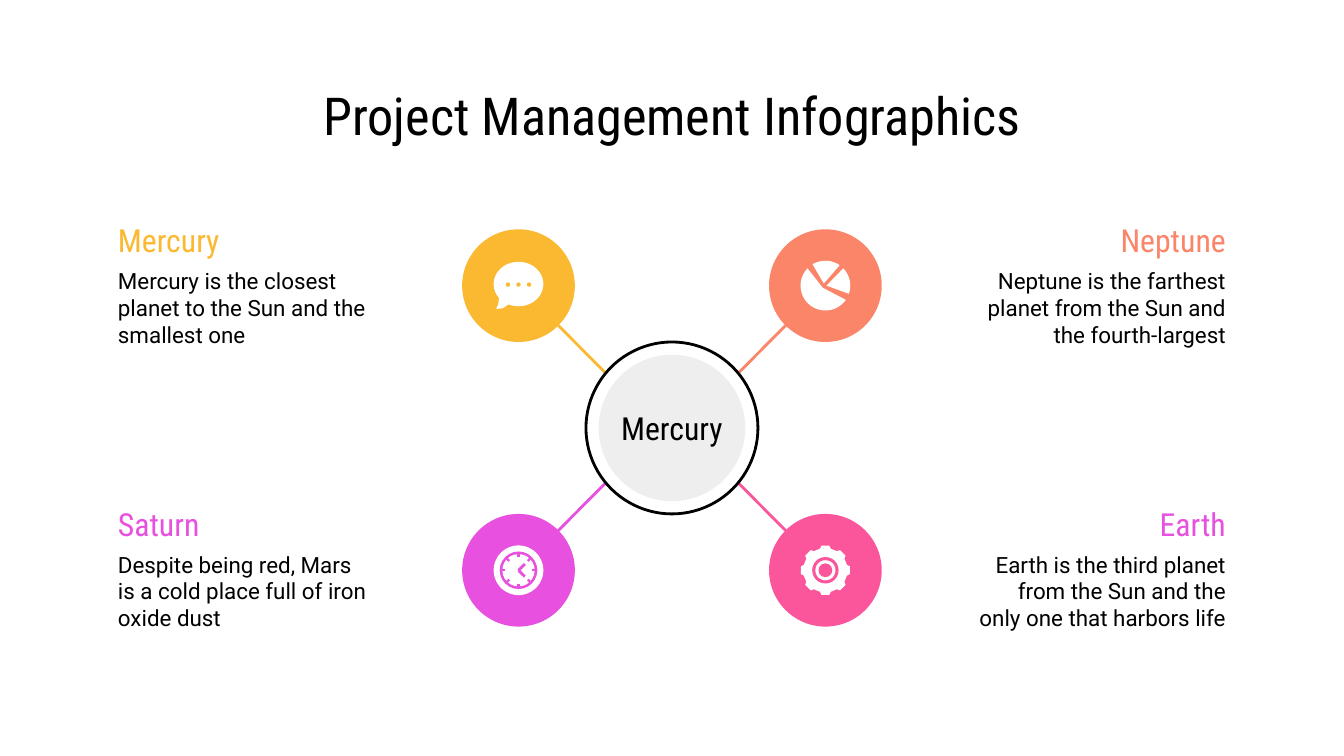
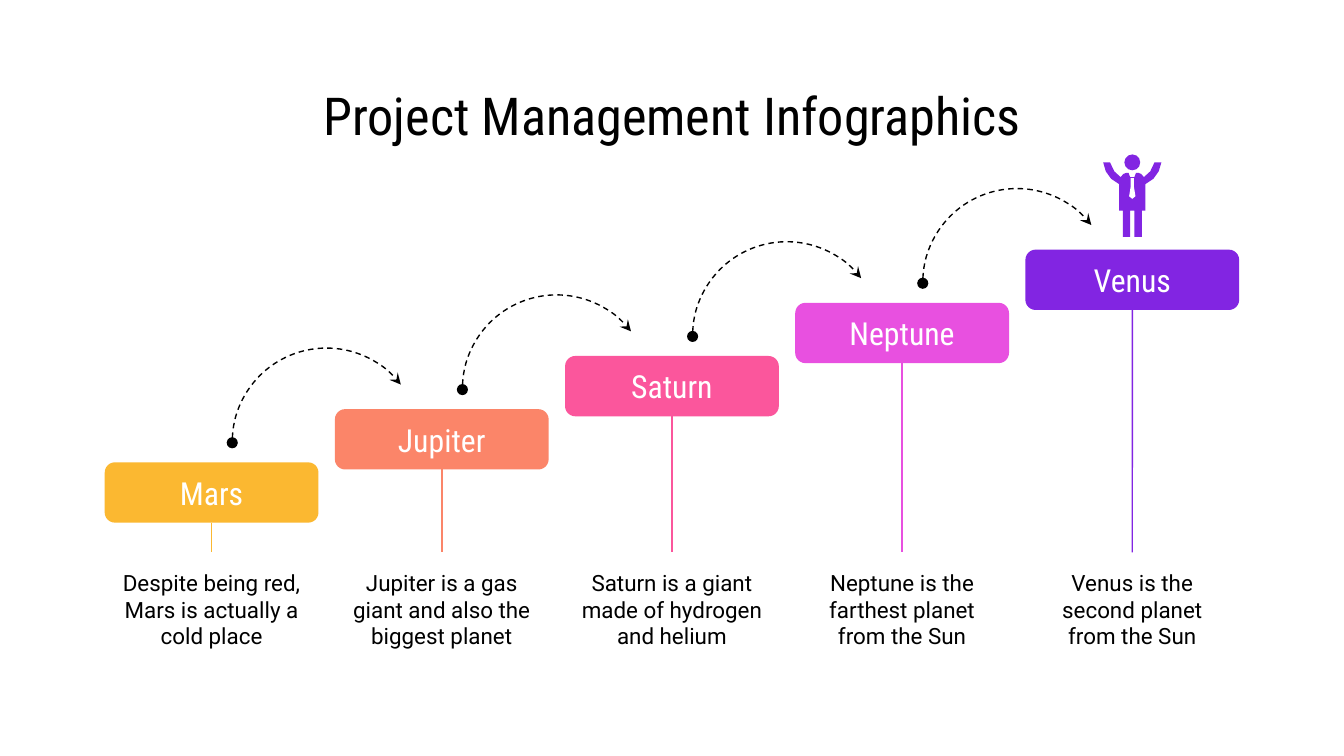
from math import cos, radians, sin

from lxml import etree
from pptx import Presentation
from pptx import util as u
from pptx.dml.color import RGBColor
from pptx.enum import dml, shapes, text
from pptx.oxml.ns import qn

AMBER = RGBColor(0xFB, 0xB8, 0x31)
CORAL = RGBColor(0xFB, 0x85, 0x69)
PINK = RGBColor(0xFB, 0x56, 0x9C)
ORCHID = RGBColor(0xE8, 0x50, 0xE0)
VIOLET = RGBColor(0x82, 0x25, 0xE2)
GREY = RGBColor(0xEE, 0xEE, 0xEE)
WHITE = RGBColor(0xFF, 0xFF, 0xFF)
BLACK = RGBColor(0, 0, 0)

HEAD, BODY = "Roboto Condensed", "Roboto"
TITLE = "Project Management Infographics"
LEFT, MID, END = text.PP_ALIGN.LEFT, text.PP_ALIGN.CENTER, text.PP_ALIGN.RIGHT
KIND = shapes.MSO_SHAPE

# All lengths below are centimetres.
WIDE, HIGH, EDGE = 25.4, 14.29, 1.98

HUB = "Mercury"
# side, row, node colour, heading colour, heading, body, icon
PLANETS = [
    (-1, -1, AMBER, AMBER, "Mercury",
     "Mercury is the closest planet to the Sun and the smallest one", "chat"),
    (1, -1, CORAL, CORAL, "Neptune",
     "Neptune is the farthest planet from the Sun and the fourth-largest", "pie"),
    (-1, 1, ORCHID, ORCHID, "Saturn",
     "Despite being red, Mars is a cold place full of iron oxide dust", "clock"),
    (1, 1, PINK, ORCHID, "Earth",
     "Earth is the third planet from the Sun and the only one that harbors life",
     "gear"),
]

STEPS = [
    ("Mars", AMBER, "Despite being red, Mars is actually a cold place"),
    ("Jupiter", CORAL, "Jupiter is a gas giant and also the biggest planet"),
    ("Saturn", PINK, "Saturn is a giant made of hydrogen and helium"),
    ("Neptune", ORCHID, "Neptune is the farthest planet from the Sun"),
    ("Venus", VIOLET, "Venus is the second planet from the Sun"),
]

# Right half of each outline, from the top centre; the left half mirrors it.
SUIT = [(.04, .28), (.07, .2), (.12, .2), (.17, .22), (.22, .28), (.34, .17),
        (.42, 0), (.55, 0), (.5, .17), (.4, .31), (.25, .41), (.25, .91),
        (.18, .91), (.18, 1.41), (.04, 1.41), (.04, .91)]
TIE = [(.03, .3), (.03, .46), (.06, .64), (0, .69)]
TAIL = [(-.37, .24), (-.38, .34), (-.42, .44), (-.3, .43), (-.17, .34), (-.2, .2)]
# first angle, last angle, apex
WEDGES = [(35, 226, (-.05, .04)), (239, 307, (-.03, -.04)), (316, 381, (.02, 0))]


def cm(*nums):
    return [u.Cm(n) for n in nums]


def write(shape, words, font, size, color, align, anchor=text.MSO_ANCHOR.MIDDLE,
          side=.25):
    frame = shape.text_frame
    frame.word_wrap = True
    frame.auto_size = text.MSO_AUTO_SIZE.NONE
    frame.vertical_anchor = anchor
    frame.margin_left, frame.margin_right = cm(side, side)
    frame.margin_top, frame.margin_bottom = cm(.25, .25)
    frame.text = words
    para = frame.paragraphs[0]
    para.alignment = align
    para.font.name, para.font.size = font, u.Pt(size)
    para.font.color.rgb = color


def label(slide, box, *style, **more):
    write(slide.shapes.add_textbox(*cm(*box)), *style, **more)


def paint(shape, fill):
    shape.shadow.inherit = False
    shape.fill.solid()
    shape.fill.fore_color.rgb = fill
    shape.line.fill.background()
    return shape


def disc(slide, x, y, wide, fill, high=None):
    """Ellipse centred on x, y."""
    high = high or wide
    return paint(slide.shapes.add_shape(
        KIND.OVAL, *cm(x - wide / 2, y - high / 2, wide, high)), fill)


def poly(slide, x, y, pts, fill):
    """Closed outline whose points are offsets from x, y."""
    spots = [cm(x + dx, y + dy) for dx, dy in pts]
    pen = slide.shapes.build_freeform(*spots[0])
    pen.add_line_segments(spots[1:], close=True)
    return paint(pen.convert_to_shape(), fill)


def link(slide, x1, y1, x2, y2, color, width):
    line = slide.shapes.add_connector(
        shapes.MSO_CONNECTOR.STRAIGHT, *cm(x1, y1, x2, y2))
    line.line.color.rgb, line.line.width = color, u.Pt(width)
    etree.SubElement(line._element.spPr, qn("a:effectLst"))
    return line


def polar(rad, deg):
    return rad * cos(radians(deg)), rad * sin(radians(deg))


def mirror(half):
    return half + [(-x, y) for x, y in reversed(half)]


def chat(slide, x, y, color):
    disc(slide, x, y - .03, .94, WHITE, .84)
    poly(slide, x, y, TAIL, WHITE)
    for dx in (-.2, 0, .2):
        disc(slide, x + dx, y - .02, .08, color)


def pie(slide, x, y, color):
    for first, last, apex in WEDGES:
        rim = [polar(.47, deg) for deg in range(first, last + 1, 3)]
        poly(slide, x, y, [apex] + rim, WHITE)


def clock(slide, x, y, color):
    for wide, fill in ((.94, WHITE), (.71, color), (.61, WHITE)):
        disc(slide, x, y, wide, fill)
    for deg in range(0, 360, 45):
        (x1, y1), (x2, y2) = polar(.25, deg), polar(.32, deg)
        link(slide, x + x1, y + y1, x + x2, y + y2, color, 1.25)
    for dy in (-.12, .12):
        link(slide, x, y, x + .12, y + dy, color, 1.5)


def gear(slide, x, y, color):
    tooth = [(-14, .42), (-9, .47), (9, .47), (14, .42)]
    pts = [polar(rad, turn + deg) for turn in range(0, 360, 45)
           for deg, rad in tooth]
    poly(slide, x, y, pts, WHITE)
    for wide, fill in ((.5, color), (.38, WHITE), (.26, color)):
        disc(slide, x, y, wide, fill)


ICONS = {"chat": chat, "pie": pie, "clock": clock, "gear": gear}


def start(deck):
    slide = deck.slides.add_slide(deck.slide_layouts[5])
    title = slide.shapes.title
    title.left, title.top, title.width, title.height = cm(
        EDGE, 1.5, WIDE - 2 * EDGE, 1.34)
    write(title, TITLE, HEAD, 28, BLACK, MID)
    return slide


def orbit(deck):
    slide = start(deck)
    x, y, wide = WIDE / 2, 8.09, 5.23
    for side, row, color, tint, name, note, icon in PLANETS:
        nx, ny = x + side * 2.9, y + row * 2.69
        link(slide, x, y - row * .22, x + side * 2.15, y + row * 1.94, color, 1.5)
        disc(slide, nx, ny, 2.13, color)
        ICONS[icon](slide, nx, ny, color)
        left, align = (EDGE, LEFT) if side < 0 else (WIDE - EDGE - wide, END)
        top = 4.04 if row < 0 else 9.4
        label(slide, (left, top + .76, wide, 2.13), note, BODY, 12, BLACK, align,
              anchor=text.MSO_ANCHOR.TOP)
        label(slide, (left, top, wide, .99), name, HEAD, 17, tint, align)
    ring = disc(slide, x, y, 3.25, WHITE)
    ring.line.color.rgb, ring.line.width = BLACK, u.Pt(1.5)
    write(disc(slide, x, y, 2.77, GREY), HUB, HEAD, 17, BLACK, MID, side=0)


def hop(slide, x, y):
    """Dashed arc from one step up to the next."""
    arc = slide.shapes.add_shape(KIND.ARC, *cm(x, y, 3.56, 3.56))
    # Arc angles are stored in 1/60000 degree, adjustments in 1/100000.
    arc.adjustments[0], arc.adjustments[1] = 179.67 * .6, 322.19 * .6
    arc.shadow.inherit = False
    arc.fill.background()
    arc.line.color.rgb, arc.line.width = BLACK, u.Pt(.75)
    arc.line.dash_style = dml.MSO_LINE.DASH
    pen = arc.line._get_or_add_ln()
    for tag, kind in (("a:headEnd", "oval"), ("a:tailEnd", "stealth")):
        etree.SubElement(pen, qn(tag), type=kind)


def winner(slide, x, y, color):
    disc(slide, x, y, .3, color)
    poly(slide, x, y, mirror(SUIT), color)
    poly(slide, x, y, mirror(TIE), WHITE)


def stairs(deck):
    slide = start(deck)
    wide, high, low, peak = 4.04, 1.14, 8.74, 4.72
    last = len(STEPS) - 1
    run, rise = (WIDE - 2 * EDGE - wide) / last, (low - peak) / last
    for i, (name, color, note) in enumerate(STEPS):
        x, y = EDGE + i * run, low - i * rise
        mid = x + wide / 2
        card = paint(slide.shapes.add_shape(
            KIND.ROUNDED_RECTANGLE, *cm(x, y, wide, high)), color)
        card.adjustments[0] = .17
        write(card, name, HEAD, 17, WHITE, MID)
        stem = link(slide, mid, y + high, mid, 10.44, color, .75)
        stem.begin_connect(card, 2)
        label(slide, (x, 10.64, wide, 1.75), note, BODY, 12, BLACK, MID)
        if i < last:
            hop(slide, x + 2.41, y - 2.16)
        else:
            winner(slide, mid, y - 1.65, color)


def main():
    deck = Presentation()
    deck.slide_width, deck.slide_height = cm(WIDE, HIGH)
    orbit(deck)
    stairs(deck)
    deck.save("out.pptx")


if __name__ == "__main__":
    main()
